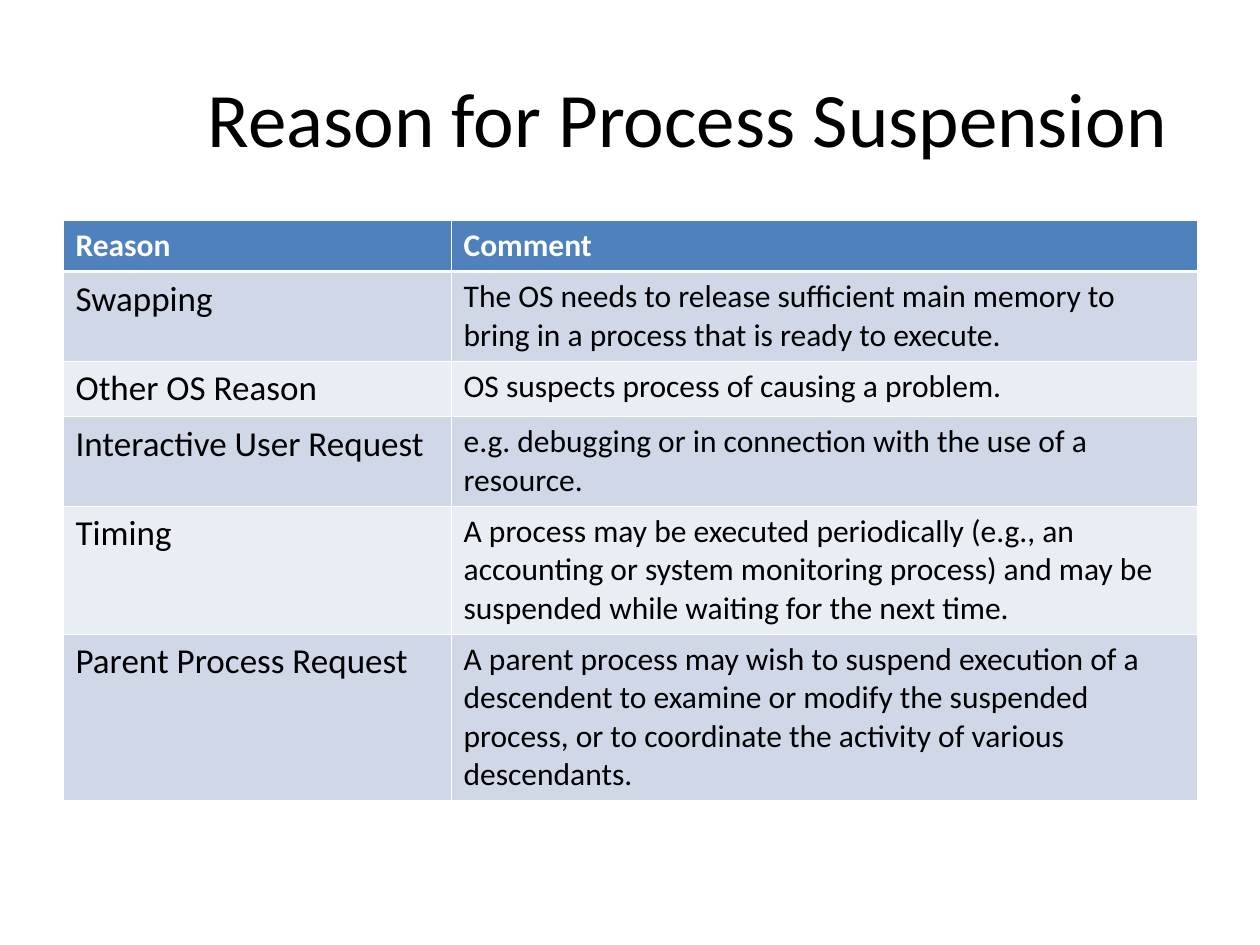
from dataclasses import dataclass

from lxml.etree import SubElement as Sub
from pptx import Presentation
from pptx.dml.color import RGBColor as Rgb
from pptx.enum.text import MSO_ANCHOR as Anchor, PP_ALIGN as Align
from pptx.oxml.ns import qn
from pptx.util import Inches, Pt


@dataclass(frozen=True)
class Theme:
    """Colours, font and type sizes."""
    font: str = "Calibri"
    ink: str = "000000"
    white: str = "FFFFFF"
    head: str = "4F81BD"
    bands: tuple = ("D0D8E8", "E9EDF4")
    title: int = 44
    label: int = 20
    note: int = 18
    thin: float = 0.45
    thick: float = 1.47


class Deck:
    """Holds the theme and the current slide."""

    def __init__(self, theme):
        self.theme = theme
        self.prs = Presentation()
        self.prs.slide_width, self.prs.slide_height = Inches(10), Inches(7.5)
        self.slide = self.prs.slides.add_slide(self.prs.slide_layouts[5])

    def style(self, frame, size, color, bold=False):
        """Format every run of a text frame."""
        for para in frame.paragraphs:
            for run in para.runs:
                font = run.font
                font.name, font.size, font.bold = self.theme.font, Pt(size), bold
                font.color.rgb = Rgb.from_string(color)

    def title(self, text, left, top, width, height):
        """Fill and place the title."""
        box = self.slide.shapes.title
        box.left, box.top = Inches(left), Inches(top)
        box.width, box.height = Inches(width), Inches(height)
        frame = box.text_frame
        frame.text = text
        frame.vertical_anchor = Anchor.MIDDLE
        frame.paragraphs[0].alignment = Align.CENTER
        self.style(frame, self.theme.title, self.theme.ink)

    def edges(self, cell, row):
        """Draw white borders, heavier under the header."""
        heavy = {0: "lnB", 1: "lnT"}.get(row)
        props = cell._tc.get_or_add_tcPr()
        for side in ("lnL", "lnR", "lnT", "lnB"):
            width = self.theme.thick if side == heavy else self.theme.thin
            line = Sub(props, qn(f"a:{side}"), w=str(int(Pt(width))))
            fill = Sub(line, qn("a:solidFill"))
            Sub(fill, qn("a:srgbClr"), val=self.theme.white)

    def cell(self, cell, text, row, col):
        """Write and format one table cell."""
        theme = self.theme
        cell.text = text
        self.edges(cell, row)
        cell.fill.solid()
        fill = theme.bands[(row - 1) % 2] if row else theme.head
        cell.fill.fore_color.rgb = Rgb.from_string(fill)
        size = theme.label if row and col == 0 else theme.note
        color = theme.ink if row else theme.white
        self.style(cell.text_frame, size, color, row == 0)

    def table(self, rows, left, top, widths, heights):
        """Add a table with a header and banded rows."""
        table = self.slide.shapes.add_table(
            len(rows), len(widths), Inches(left), Inches(top),
            Inches(sum(widths)), Inches(sum(heights))).table
        for col, width in zip(table.columns, widths):
            col.width = Inches(width)
        for r, (texts, height) in enumerate(zip(rows, heights)):
            table.rows[r].height = Inches(height)
            for c, text in enumerate(texts):
                self.cell(table.cell(r, c), text, r, c)


ROWS = [
    ("Reason", "Comment"),
    ("Swapping", "The OS needs to release sufficient main memory to bring in "
     "a process that is ready to execute."),
    ("Other OS Reason", "OS suspects process of causing a problem."),
    ("Interactive User Request", "e.g. debugging or in connection with the "
     "use of a resource."),
    ("Timing", "A process may be executed periodically (e.g., an accounting "
     "or system monitoring process) and may be suspended while waiting for "
     "the next time."),
    ("Parent Process Request", "A parent process may wish to suspend execution "
     "of a descendent to examine or modify the suspended process, or to "
     "coordinate the activity of various descendants."),
]


def main():
    """Build and save the slide."""
    deck = Deck(Theme())
    deck.title("Reason for Process Suspension", 1.42, 0.3, 8.08, 1.25)
    deck.table(ROWS, 0.5, 1.75, (3.08, 5.92), (0.4, 0.7, 0.43, 0.7, 1, 1.3))
    deck.prs.save("out.pptx")


if __name__ == "__main__":
    main()
